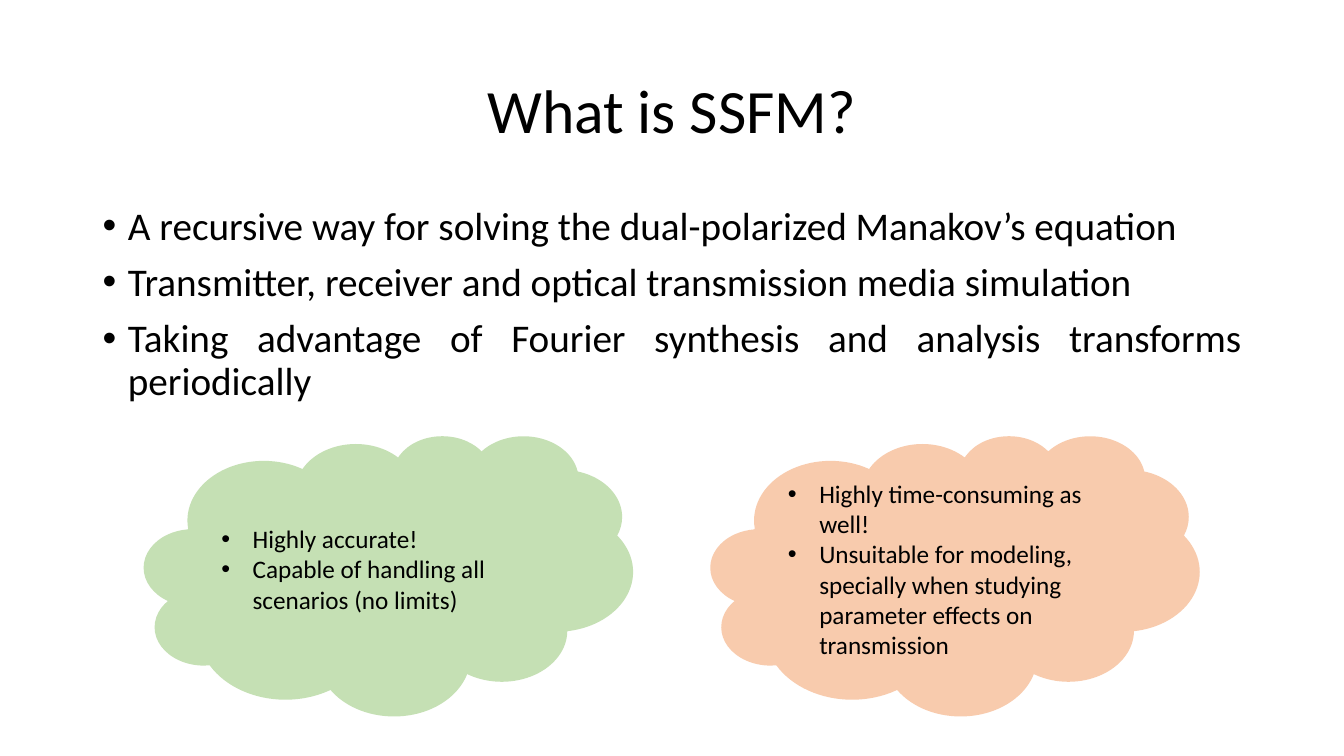
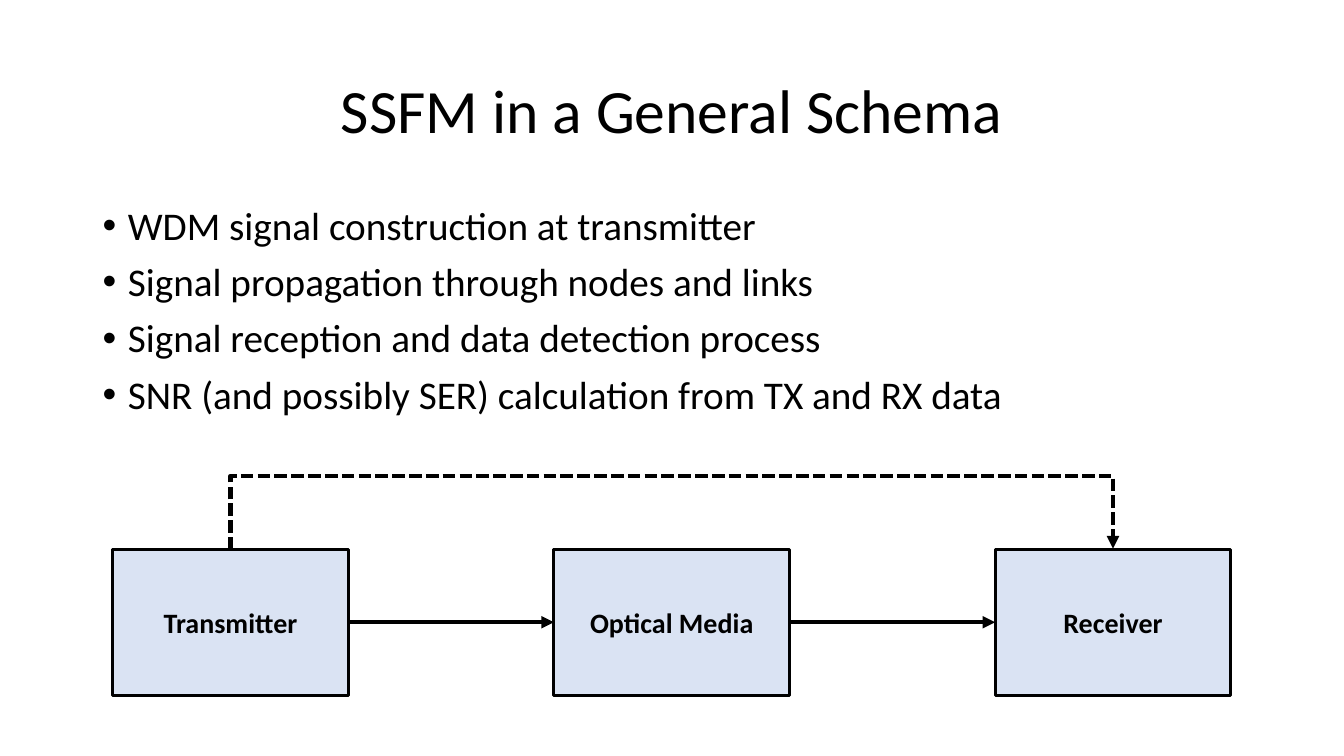
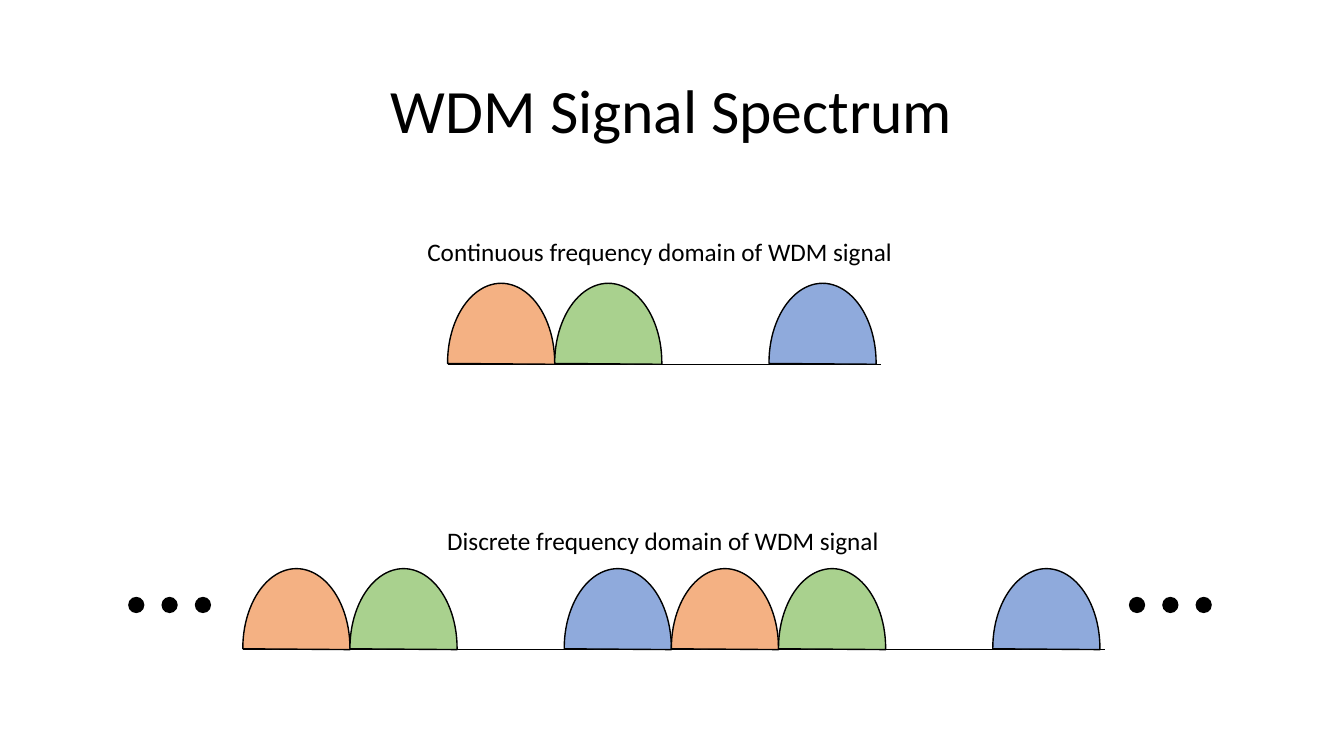
from dataclasses import dataclass

from lxml.etree import SubElement
from pptx import Presentation
from pptx.dml.color import RGBColor
from pptx.enum.dml import MSO_LINE_DASH_STYLE as Dash
from pptx.enum.shapes import MSO_AUTO_SHAPE_TYPE as Geo, MSO_CONNECTOR_TYPE as Link
from pptx.enum.text import MSO_ANCHOR as Anchor, MSO_AUTO_SIZE as Fit, PP_ALIGN as Align
from pptx.oxml.ns import qn
from pptx.util import Cm, Pt

FONT = "Calibri"
BLACK = "000000"
GREEN, ORANGE, BLUE = "A9D18E", "F4B183", "8FAADC"
PALE_GREEN, PALE_ORANGE, PALE_BLUE = "C5E0B4", "F8CBAD", "DAE3F3"
TITLE_ONLY, TITLE_AND_BODY = 5, 1

BOX_LEFT, BOX_TOP, BOX_W, BOX_H, BOX_STEP = 2.84, 13.84, 5.94, 3.68, 11.12
BYPASS_RISE, BYPASS_DEPTH = 1.86, 0.03
LOBE_W, LOBE_H, BAND_W, BASELINE = 2.7, 4.01, 10.92, 2.04
LOBES = ((0, ORANGE), (1, GREEN), (3, BLUE))
DOT, DOT_STEP, DOT_TOP = 0.41, 0.84, 15.04


@dataclass(frozen=True)
class Cloud:
    """A cloud with a bulleted list."""

    left: float
    fill: str
    lines: tuple[str, ...]


@dataclass(frozen=True)
class Caption:
    """A one-line label above a spectrum."""

    text: str
    left: float
    top: float
    width: float


CLOUDS = (
    Cloud(3.63, PALE_GREEN, ("Highly accurate!", "Capable of handling all scenarios (no limits)")),
    Cloud(17.91, PALE_ORANGE, (
        "Highly time-consuming as well!",
        "Unsuitable for modeling, specially when studying parameter effects on transmission",
    )),
)
CAPTIONS = (
    Caption("Continuous frequency domain of WDM signal", 10.52, 5.82, 12.42),
    Caption("Discrete frequency domain of WDM signal", 11.02, 13.11, 11.53),
)
BANDS = ((11.28, 7.14), (6.12, 14.33), (6.12 + 4 * LOBE_W, 14.33))


def color(value: str) -> RGBColor:
    """Turn a hex string into a colour."""
    return RGBColor.from_string(value)


def add_bullet(p, indent: float) -> None:
    """Give a paragraph a hanging round bullet."""
    pPr = p._p.get_or_add_pPr()
    pPr.set("marL", str(Cm(indent)))
    pPr.set("indent", str(-Cm(indent)))
    SubElement(pPr, qn("a:buFont")).set("typeface", "Arial")
    SubElement(pPr, qn("a:buChar")).set("char", "•")


def write(tf, *lines: str, size: float = 18, bold: bool = False, align=Align.LEFT,
          indent: float = 0, spacing: float = 1, before: float = 0) -> None:
    """Fill a text frame with equally formatted paragraphs."""
    for i, line in enumerate(lines):
        p = tf.add_paragraph() if i else tf.paragraphs[0]
        p.alignment = align
        p.line_spacing = spacing
        p.space_before = Pt(before if i else 0)
        if indent:
            add_bullet(p, indent)
        r = p.add_run()
        r.text = line
        r.font.name, r.font.size, r.font.bold = FONT, Pt(size), bold
        r.font.color.rgb = color(BLACK)


def place(sp, left: float, top: float, width: float, height: float) -> None:
    """Move and size a shape, in centimetres."""
    sp.left, sp.top, sp.width, sp.height = Cm(left), Cm(top), Cm(width), Cm(height)


def add_slide(prs, title: str, *points: str, align=Align.LEFT):
    """Add a slide with a title and, if given, a bulleted body."""
    s = prs.slides.add_slide(prs.slide_layouts[TITLE_AND_BODY if points else TITLE_ONLY])
    place(s.shapes.title, 2.33, 1.01, 29.21, 3.68)
    tf = s.shapes.title.text_frame
    tf.vertical_anchor = Anchor.MIDDLE
    write(tf, title, size=44, align=Align.CENTER, spacing=0.9)
    if points:
        body = s.placeholders[1]
        place(body, 2.33, 5.07, 29.21, 12.09)
        write(body.text_frame, *points, size=28, align=align, indent=0.64, spacing=0.9, before=10)
    return s


def add_shape(s, geo, left: float, top: float, width: float, height: float,
              fill: str, line: float = 0):
    """Add a flat shape with an optional black outline."""
    sp = s.shapes.add_shape(geo, Cm(left), Cm(top), Cm(width), Cm(height))
    sp.shadow.inherit = False
    sp.fill.solid()
    sp.fill.fore_color.rgb = color(fill)
    if line:
        sp.line.color.rgb = color(BLACK)
        sp.line.width = Pt(line)
    else:
        sp.line.fill.background()
    sp.text_frame.word_wrap = True
    sp.text_frame.vertical_anchor = Anchor.MIDDLE
    return sp


def add_line(s, left: float, top: float, width: float, weight: float,
             kind=Link.STRAIGHT, dash=None, arrow: bool = False):
    """Add a black level connector."""
    c = s.shapes.add_connector(kind, Cm(left), Cm(top), Cm(left + width), Cm(top))
    c.line.color.rgb = color(BLACK)
    c.line.width = Pt(weight)
    if dash:
        c.line.dash_style = dash
    if arrow:
        SubElement(c.line._get_or_add_ln(), qn("a:tailEnd")).set("type", "triangle")
    SubElement(c._element.spPr, qn("a:effectLst"))
    return c


def add_bypass(s, start, end) -> None:
    """Join the tops of two boxes with a dashed arrow that runs above them."""
    span = 2 * BOX_STEP
    left = BOX_LEFT + BOX_W / 2
    c = add_line(s, left, BOX_TOP, span, 3, Link.ELBOW, Dash.SQUARE_DOT, True)
    c.begin_connect(start, 0)
    c.end_connect(end, 0)
    place(c, left + (span - BYPASS_DEPTH) / 2, BOX_TOP - span / 2, BYPASS_DEPTH, span)
    xfrm = c._element.spPr.find(qn("a:xfrm"))
    for name, value in (("rot", "5400000"), ("flipH", "1"), ("flipV", "1")):
        xfrm.set(name, value)
    geom = c._element.spPr.find(qn("a:prstGeom"))
    guides = geom.find(qn("a:avLst"))
    if guides is None:
        guides = SubElement(geom, qn("a:avLst"))
    guide = SubElement(guides, qn("a:gd"))
    guide.set("name", "adj1")
    guide.set("fmla", f"val {round(BYPASS_RISE / BYPASS_DEPTH * 100000)}")


def add_band(s, left: float, top: float) -> None:
    """Draw one spectrum: a baseline with three lobes."""
    add_line(s, left, top + BASELINE, BAND_W, 0.5)
    for slot, fill in LOBES:
        sp = add_shape(s, Geo.CHORD, left + slot * LOBE_W, top, LOBE_W, LOBE_H, fill, 1)
        sp.adjustments[0] = 107.62
        sp.adjustments[1] = 0.92


def add_caption(s, caption: Caption) -> None:
    """Add an unwrapped label."""
    tf = s.shapes.add_textbox(Cm(caption.left), Cm(caption.top), Cm(caption.width), Cm(1.02)).text_frame
    tf.word_wrap = False
    tf.auto_size = Fit.SHAPE_TO_FIT_TEXT
    write(tf, caption.text)


def build_definition(prs) -> None:
    """Build the slide that defines the method."""
    s = add_slide(
        prs, "What is SSFM?",
        "A recursive way for solving the dual-polarized Manakov’s equation",
        "Transmitter, receiver and optical transmission media simulation",
        "Taking advantage of Fourier synthesis and analysis transforms periodically",
        align=Align.JUSTIFY,
    )
    for cloud in CLOUDS:
        sp = add_shape(s, Geo.CLOUD, cloud.left, 10.97, 12.32, 7.06, cloud.fill)
        write(sp.text_frame, *cloud.lines, indent=0.79)


def build_schema(prs) -> None:
    """Build the slide with the block diagram."""
    s = add_slide(
        prs, "SSFM in a General Schema",
        "WDM signal construction at transmitter",
        "Signal propagation through nodes and links",
        "Signal reception and data detection process",
        "SNR (and possibly SER) calculation from TX and RX data",
    )
    boxes = []
    for i, name in enumerate(("Transmitter", "Optical Media", "Receiver")):
        sp = add_shape(s, Geo.RECTANGLE, BOX_LEFT + i * BOX_STEP, BOX_TOP, BOX_W, BOX_H, PALE_BLUE, 2.25)
        write(sp.text_frame, name, size=20, bold=True, align=Align.CENTER)
        boxes.append(sp)
    for i, (start, end) in enumerate(zip(boxes, boxes[1:])):
        c = add_line(s, BOX_LEFT + BOX_W + i * BOX_STEP, BOX_TOP + BOX_H / 2, BOX_STEP - BOX_W, 3, arrow=True)
        c.begin_connect(start, 3)
        c.end_connect(end, 1)
    add_bypass(s, boxes[0], boxes[-1])


def build_spectrum(prs) -> None:
    """Build the slide with the signal spectra."""
    s = add_slide(prs, "WDM Signal Spectrum")
    for left, top in BANDS:
        add_band(s, left, top)
    for left in (3.23, 28.45):
        for i in range(3):
            add_shape(s, Geo.OVAL, left + i * DOT_STEP, DOT_TOP, DOT, DOT, BLACK)
    for caption in CAPTIONS:
        add_caption(s, caption)


def main() -> None:
    """Build and save the presentation."""
    prs = Presentation()
    prs.slide_width, prs.slide_height = Cm(33.87), Cm(19.05)
    build_definition(prs)
    build_schema(prs)
    build_spectrum(prs)
    prs.save("out.pptx")


if __name__ == "__main__":
    main()
